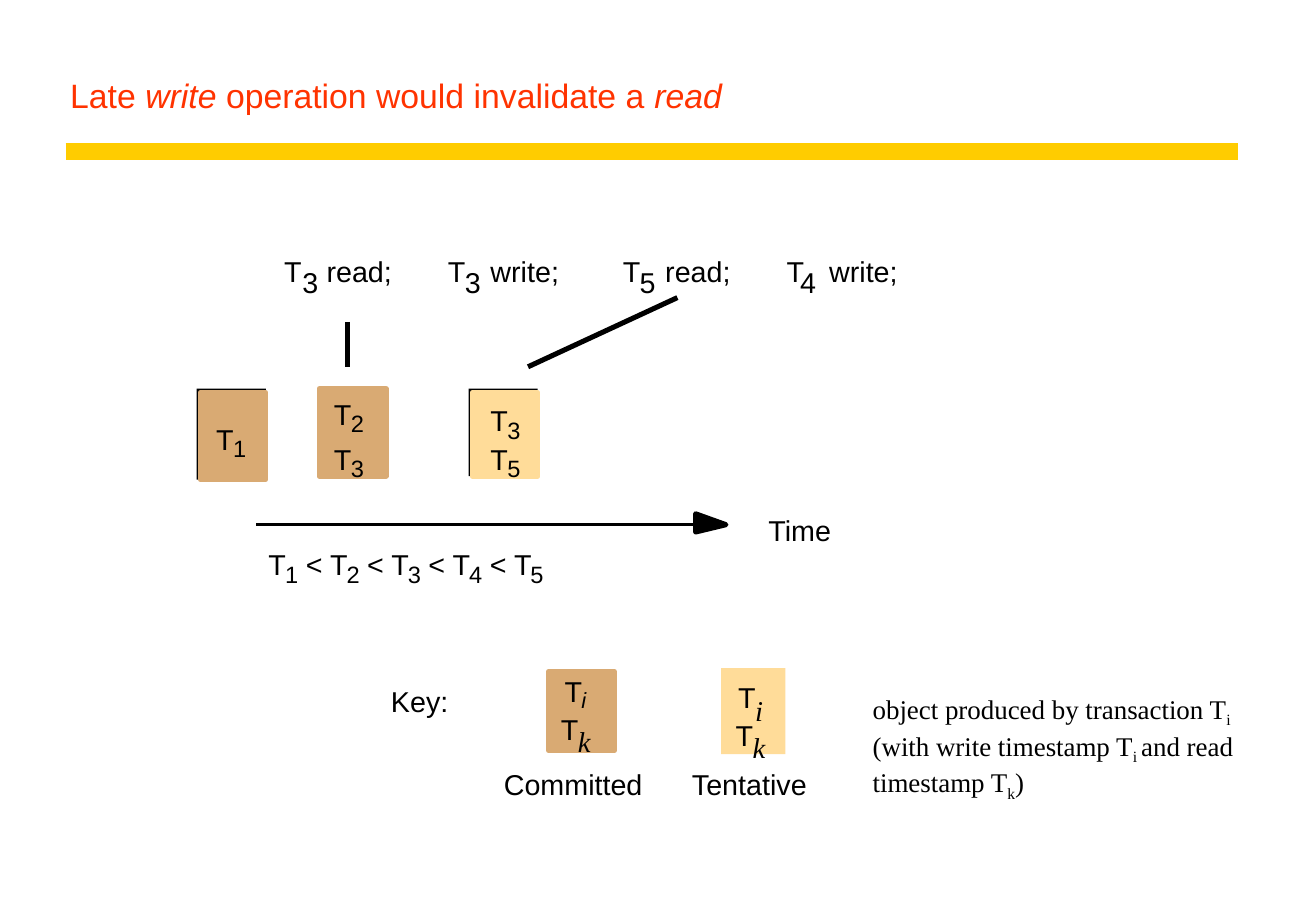
"""Build the slide on a late write operation that would invalidate a read."""
from lxml import etree
from pptx import Presentation
from pptx.dml.color import RGBColor
from pptx.enum.shapes import MSO_CONNECTOR, MSO_SHAPE
from pptx.enum.text import MSO_ANCHOR
from pptx.oxml.ns import qn
from pptx.util import Inches, Pt

BLACK = RGBColor(0x00, 0x00, 0x00)
TITLE_RED = RGBColor(0xFF, 0x33, 0x00)
RULE_YELLOW = RGBColor(0xFF, 0xCC, 0x00)
COMMITTED = RGBColor(0xD9, 0xAA, 0x73)
TENTATIVE = RGBColor(0xFF, 0xDC, 0x99)
SANS = "Arial"
SERIF = "Times New Roman"

deck = Presentation()
deck.slide_width = Inches(10.84)
deck.slide_height = Inches(7.5)
page = deck.slides.add_slide(deck.slide_layouts[6])


def add_label(left, top, width, text, size=17, font=SANS, italic=False):
    box = page.shapes.add_textbox(Inches(left), Inches(top), Inches(width), Inches(0.28))
    frame = box.text_frame
    frame.word_wrap = False
    frame.margin_left = frame.margin_right = frame.margin_top = frame.margin_bottom = 0
    span = frame.paragraphs[0].add_run()
    span.text = text
    span.font.size = Pt(size)
    span.font.name = font
    span.font.italic = italic
    span.font.color.rgb = BLACK


def add_transaction(left, top, index, size=14, font=SANS, italic=False, drop=0.1, shift=0.14):
    add_label(left, top, 0.15, "T")
    add_label(left + shift, top + drop, 0.14, index, size, font, italic)


title = page.shapes.add_textbox(Inches(0.48), Inches(0.25), Inches(9.72), Inches(0.75))
title.text_frame.word_wrap = True
title.text_frame.vertical_anchor = MSO_ANCHOR.BOTTOM
para = title.text_frame.paragraphs[0]
for text, italic in [("Late ", False), ("write", True),
                     (" operation would invalidate a ", False), ("read", True)]:
    span = para.add_run()
    span.text = text
    span.font.size = Pt(20)
    span.font.name = SANS
    span.font.italic = italic
    span.font.color.rgb = TITLE_RED

lines = [
    (0.54, 1.25, 10.2, 1.25, RULE_YELLOW, 10),
    (2.86, 2.65, 2.86, 3.02, BLACK, 3),
    (4.35, 3.02, 5.58, 2.45, BLACK, 3),
    (2.11, 4.32, 5.73, 4.32, BLACK, 2),
]
for start_x, start_y, end_x, end_y, color, weight in lines:
    line = page.shapes.add_connector(MSO_CONNECTOR.STRAIGHT, Inches(start_x), Inches(start_y),
                                     Inches(end_x), Inches(end_y))
    line.line.color.rgb = color
    line.line.width = Pt(weight)
    etree.SubElement(line._element.spPr, qn("a:effectLst"))

outline = page.shapes.build_freeform(Inches(5.73), Inches(4.23))
outline.add_line_segments([(Inches(5.98), Inches(4.32)), (Inches(5.73), Inches(4.38))], close=True)
arrowhead = outline.convert_to_shape()
arrowhead.shadow.inherit = False
arrowhead.fill.solid()
arrowhead.fill.fore_color.rgb = BLACK
arrowhead.line.color.rgb = BLACK
arrowhead.line.width = Pt(3)

versions = [
    (1.62, 3.2, 0.57, 0.75, BLACK, False),
    (1.65, 3.23, 0.54, 0.72, COMMITTED, True),
    (2.63, 3.2, 0.55, 0.72, COMMITTED, True),
    (3.86, 3.2, 0.57, 0.72, BLACK, False),
    (3.89, 3.23, 0.54, 0.69, TENTATIVE, True),
    (4.52, 5.53, 0.54, 0.65, COMMITTED, True),
    (5.94, 5.5, 0.53, 0.71, TENTATIVE, False),
]
for left, top, width, height, color, outlined in versions:
    version = page.shapes.add_shape(MSO_SHAPE.RECTANGLE, Inches(left), Inches(top),
                                    Inches(width), Inches(height))
    version.shadow.inherit = False
    version.fill.solid()
    version.fill.fore_color.rgb = color
    if outlined:
        version.line.color.rgb = color
        version.line.width = Pt(3)
    else:
        version.line.fill.background()

for left, index, shift, verb in [(2.34, "3", 0.15, "read;"), (3.69, "3", 0.14, "write;"),
                                 (5.13, "5", 0.14, "read;"), (6.48, "4", 0.11, "write;")]:
    add_transaction(left, 2.09, index, size=17, drop=0.09, shift=shift)
    add_label(left + 0.35, 2.09, 0.57, verb)

for left, top, index in [(1.78, 3.47, "1"), (2.75, 3.27, "2"), (2.75, 3.64, "3"),
                         (4.04, 3.32, "3"), (4.04, 3.64, "5")]:
    add_transaction(left, top, index)

add_transaction(2.21, 4.5, "1", drop=0.11)
for step, index in enumerate("2345"):
    left = 2.52 + step * 0.505
    add_label(left, 4.5, 0.36, "< T")
    add_label(left + 0.335, 4.61, 0.14, index, 14)

add_transaction(4.65, 5.55, "i", size=13, italic=True)
for left, top, index in [(4.62, 5.86, "k"), (6.08, 5.6, "i"), (6.06, 5.91, "k")]:
    add_transaction(left, top, index, size=17, font=SERIF, italic=True)

for left, top, width, text in [(6.33, 4.22, 0.53, "Time"), (3.22, 5.63, 0.48, "Key:"),
                               (4.15, 6.31, 1.15, "Committed"), (5.7, 6.31, 0.97, "Tentative")]:
    add_label(left, top, width, text)

explanation = page.shapes.add_textbox(Inches(7.09), Inches(5.65), Inches(3.17), Inches(1.01))
explanation.text_frame.word_wrap = True
para = explanation.text_frame.paragraphs[0]
for text, subscript in [("object produced by transaction T", False), ("i", True),
                        (" (with write timestamp T", False), ("i ", True),
                        ("and read timestamp T", False), ("k", True), (")", False)]:
    span = para.add_run()
    span.text = text
    span.font.size = Pt(16)
    span.font.name = SERIF
    span.font.color.rgb = BLACK
    if subscript:
        span.font._element.set("baseline", "-25000")

deck.save("out.pptx")
